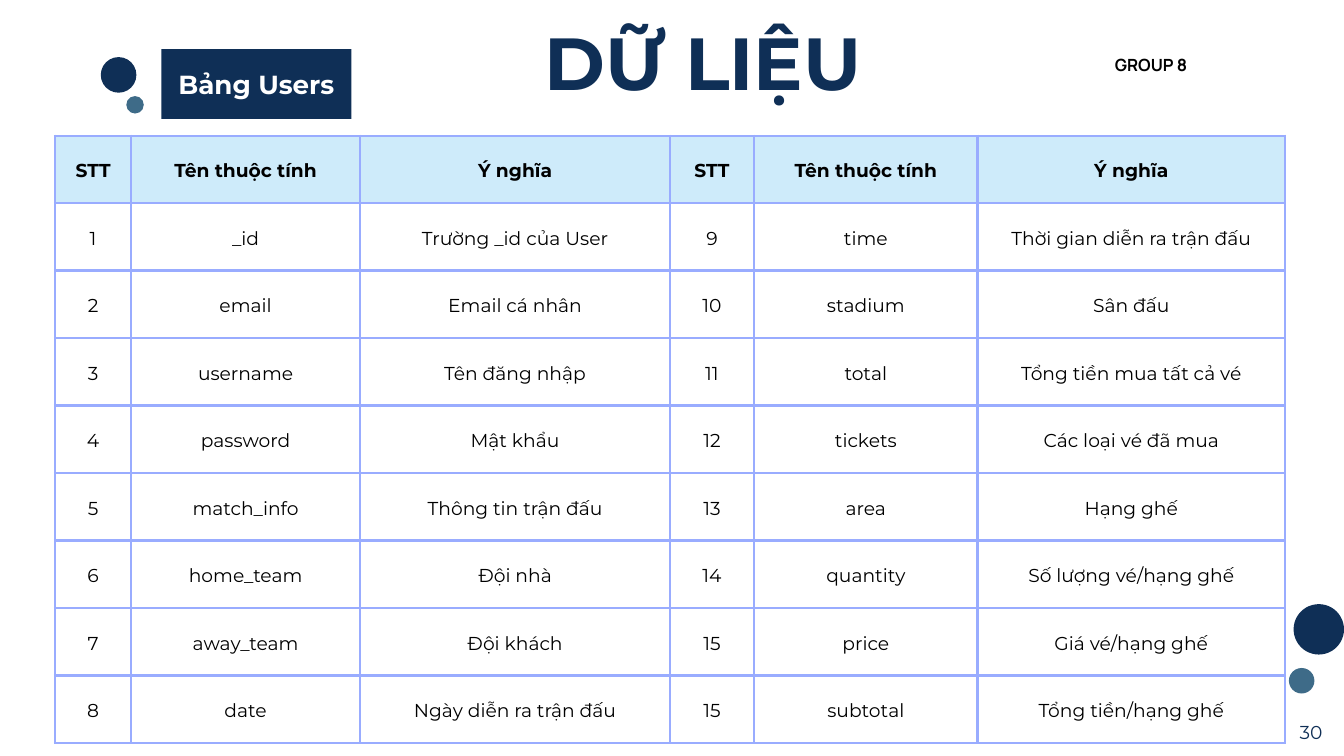
from lxml import etree
from pptx import Presentation
from pptx.dml.color import RGBColor
from pptx.enum.shapes import MSO_SHAPE as Shape
from pptx.enum.text import MSO_ANCHOR as Anchor, MSO_AUTO_SIZE as AutoSize, PP_ALIGN as Align
from pptx.oxml.ns import qn
from pptx.util import Inches, Pt

NAVY, TEAL, BLACK, WHITE = "0F2F56", "3E6B88", "000000", "FFFFFF"
HEADER_FILL, BORDER = "CEEBFA", "99ACFF"
MARGINS = ("margin_left", "margin_top", "margin_right", "margin_bottom")

COLUMN_WIDTHS = [1.13, 3.41, 4.61, 1.25, 3.33, 4.57]
HEADERS = ["STT", "Tên thuộc tính", "Ý nghĩa"] * 2
FIELDS = [
    ["1", "_id", "Trường _id của User", "9", "time", "Thời gian diễn ra trận đấu"],
    ["2", "email", "Email cá nhân", "10", "stadium", "Sân đấu"],
    ["3", "username", "Tên đăng nhập", "11", "total", "Tổng tiền mua tất cả vé"],
    ["4", "password", "Mật khẩu", "12", "tickets", "Các loại vé đã mua"],
    ["5", "match_info", "Thông tin trận đấu", "13", "area", "Hạng ghế"],
    ["6", "home_team", "Đội nhà", "14", "quantity", "Số lượng vé/hạng ghế"],
    ["7", "away_team", "Đội khách", "15", "price", "Giá vé/hạng ghế"],
    ["8", "date", "Ngày diễn ra trận đấu", "15", "subtotal", "Tổng tiền/hạng ghế"],
]


def color(value):
    return RGBColor.from_string(value)


class SlideBuilder:
    def __init__(self, page, font="Montserrat"):
        self.page = page
        self.font = font

    def add_span(self, frame, text, size, spacing, ink=BLACK, bold=False,
                 align=Align.LEFT, font=None):
        para = frame.paragraphs[0]
        for name, value in {"alignment": align, "line_spacing": Pt(spacing),
                            "space_before": Pt(0)}.items():
            setattr(para, name, value)
        span = para.add_run()
        span.text = text
        for name, value in {"name": font or self.font, "size": Pt(size),
                            "bold": bold}.items():
            setattr(span.font, name, value)
        span.font.color.rgb = color(ink)

    def fill_box(self, box, text, **style):
        frame = box.text_frame
        for name, value in {"word_wrap": True, "auto_size": AutoSize.NONE,
                            "vertical_anchor": Anchor.TOP,
                            **dict.fromkeys(MARGINS, 0)}.items():
            setattr(frame, name, value)
        self.add_span(frame, text, **style)

    def title(self, text, left, top, width, height, **style):
        box = self.page.shapes.title
        for name, value in {"left": left, "top": top, "width": width,
                            "height": height}.items():
            setattr(box, name, Inches(value))
        self.fill_box(box, text, **style)

    def text(self, text, left, top, width, height, **style):
        box = self.page.shapes.add_textbox(*map(Inches, (left, top, width, height)))
        self.fill_box(box, text, **style)

    def shape(self, kind, left, top, width, height, fill):
        shape = self.page.shapes.add_shape(kind, *map(Inches, (left, top, width, height)))
        shape.shadow.inherit = False
        shape.fill.solid()
        shape.fill.fore_color.rgb = color(fill)
        shape.line.fill.background()

    def dot(self, left, top, size, fill):
        self.shape(Shape.OVAL, left, top, size, size, fill)

    def border(self, cell, ink, width):
        properties = cell._tc.get_or_add_tcPr()
        for index, side in enumerate(("lnL", "lnR", "lnT", "lnB")):
            line = etree.Element(qn(f"a:{side}"), w=str(Pt(width)))
            fill = etree.SubElement(line, qn("a:solidFill"))
            etree.SubElement(fill, qn("a:srgbClr"), val=ink)
            properties.insert(index, line)

    def table(self, rows, widths, left, top, height):
        table = self.page.shapes.add_table(
            len(rows), len(widths),
            *map(Inches, (left, top, sum(widths), height))).table
        table.first_row = table.horz_banding = False
        for column, width in zip(table.columns, widths):
            column.width = Inches(width)
        for r, values in enumerate(rows):
            table.rows[r].height = Inches(height / len(rows))
            for c, value in enumerate(values):
                self.cell(table.cell(r, c), value, header=r == 0)

    def cell(self, cell, text, header):
        for name in MARGINS:
            setattr(cell, name, Inches(0.21))
        cell.vertical_anchor = Anchor.MIDDLE
        if header:
            cell.fill.solid()
            cell.fill.fore_color.rgb = color(HEADER_FILL)
        else:
            cell.fill.background()
        self.border(cell, BORDER, 3)
        self.add_span(cell.text_frame, text, 20, 28, bold=header, align=Align.CENTER)


def main():
    deck = Presentation()
    deck.slide_width, deck.slide_height = Inches(20), Inches(11.25)
    page = deck.slides.add_slide(deck.slide_layouts[5])
    page.background.fill.solid()
    page.background.fill.fore_color.rgb = color(WHITE)
    slide = SlideBuilder(page)

    # Attribute table
    slide.table([HEADERS, *FIELDS], COLUMN_WIDTHS, left=0.82, top=2.02, height=9.04)

    # Title, table label and group name
    slide.title("DỮ LIỆU", 8.1, 0.52, 5.13, 1.12, size=79, spacing=75.8,
                ink=NAVY, bold=True)
    slide.shape(Shape.RECTANGLE, 2.4, 0.73, 2.83, 1.04, NAVY)
    slide.text("Bảng Users", 2.4, 1.1, 2.83, 0.39, size=28, spacing=28,
               ink=WHITE, bold=True, align=Align.CENTER)
    slide.text("GROUP 8", 16.59, 0.77, 2.29, 0.36, size=18, spacing=25.2,
               bold=True, font="Manrope")

    # Decorative dots
    slide.dot(1.5, 0.85, 0.53, NAVY)
    slide.dot(1.88, 1.43, 0.26, TEAL)
    slide.dot(19.25, 8.99, 0.75, NAVY)
    slide.dot(19.18, 9.94, 0.38, TEAL)

    # Page number
    slide.text("30", 19.23, 10.74, 0.56, 0.32, size=20, spacing=23.4,
               ink=NAVY, align=Align.CENTER)

    deck.save("out.pptx")


if __name__ == "__main__":
    main()
